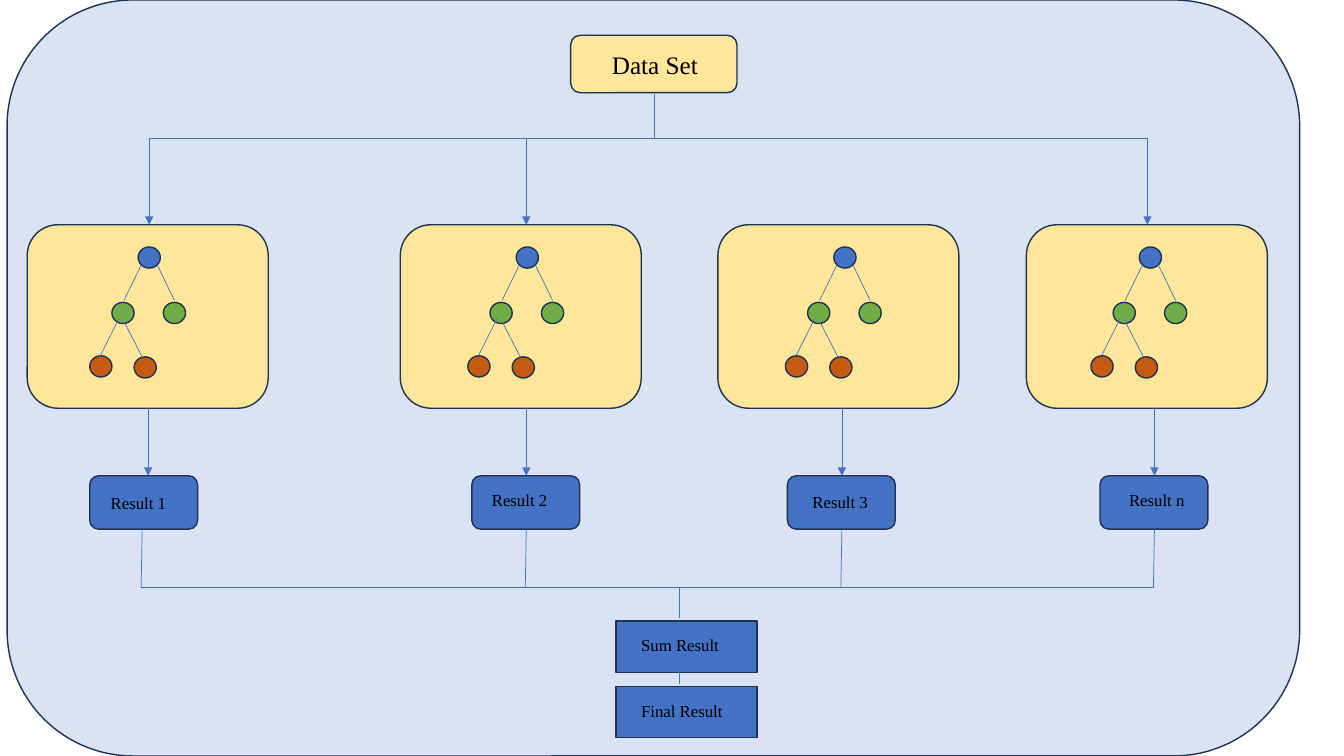
from dataclasses import dataclass

from lxml import etree
from pptx import Presentation
from pptx.dml.color import RGBColor
from pptx.enum.shapes import MSO_CONNECTOR, MSO_SHAPE
from pptx.oxml.ns import qn
from pptx.util import Inches, Pt


@dataclass(frozen=True)
class Theme:
    font: str = "Times New Roman"
    title_size: float = 18
    label_size: float = 12
    text: str = "000000"
    backdrop: str = "DAE3F3"
    panel: str = "FFE699"
    blue: str = "4472C4"
    green: str = "70AD47"
    orange: str = "C55A11"
    outline: str = "1E3256"
    outline_width: float = 1
    line_width: float = 0.5


@dataclass(frozen=True)
class Branch:
    name: str
    panel_x: float
    root_x: float
    out_x: float
    leg_x: float
    result_x: float
    label_x: float
    label_y: float


THEME = Theme()

BRANCHES = [
    Branch("Result 1", 0.27, 1.37, 1.47, 1.41, 0.89, 1.0, 4.84),
    Branch("Result 2", 3.97, 5.12, 5.22, 5.22, 4.68, 4.78, 4.81),
    Branch("Result 3", 7.12, 8.27, 8.35, 8.35, 7.81, 7.96, 4.83),
    Branch("Result n", 10.18, 11.3, 11.45, 11.45, 10.91, 11.1, 4.81),
]
INPUT_XS = [1.48, 5.22, 11.38]

TREE_NODES = [
    (0, 2.45, THEME.blue),
    (-0.26, 3.0, THEME.green),
    (0.25, 3.0, THEME.green),
    (-0.48, 3.53, THEME.orange),
    (-0.04, 3.54, THEME.orange),
]
TREE_EDGES = [
    (0.03, 2.63, -0.14, 2.98),
    (0.19, 2.63, 0.36, 2.98),
    (-0.14, 3.19, 0.04, 3.54),
    (-0.19, 3.16, -0.37, 3.52),
]

SPLIT_Y, PANEL_Y, PANEL_BOTTOM = 1.37, 2.23, 4.05
RESULT_Y, RESULT_BOTTOM, MERGE_Y = 4.72, 5.25, 5.83
SUM_X = 6.74


def add_box(s, kind, x, y, w, h, fill):
    sp = s.shapes.add_shape(kind, Inches(x), Inches(y), Inches(w), Inches(h))
    sp.shadow.inherit = False
    sp.fill.solid()
    sp.fill.fore_color.rgb = RGBColor.from_string(fill)
    sp.line.color.rgb = RGBColor.from_string(THEME.outline)
    sp.line.width = Pt(THEME.outline_width)


def add_line(s, x1, y1, x2, y2, arrow=False):
    sp = s.shapes.add_connector(
        MSO_CONNECTOR.STRAIGHT, Inches(x1), Inches(y1), Inches(x2), Inches(y2))
    sp.line.color.rgb = RGBColor.from_string(THEME.blue)
    sp.line.width = Pt(THEME.line_width)
    if arrow:
        ln = sp.line._get_or_add_ln()
        etree.SubElement(ln, qn("a:tailEnd"), type="triangle")
    etree.SubElement(sp._element.spPr, qn("a:effectLst"))


def add_text(s, text, x, y, w, h=0.3, size=THEME.label_size):
    tf = s.shapes.add_textbox(Inches(x), Inches(y), Inches(w), Inches(h)).text_frame
    tf.word_wrap = True
    r = tf.paragraphs[0].add_run()
    r.text = text
    r.font.name = THEME.font
    r.font.size = Pt(size)
    r.font.color.rgb = RGBColor.from_string(THEME.text)


def add_tree(s, root_x):
    for dx, y, fill in TREE_NODES:
        add_box(s, MSO_SHAPE.FLOWCHART_CONNECTOR, root_x + dx, y, 0.22, 0.21, fill)
    for dx1, y1, dx2, y2 in TREE_EDGES:
        add_line(s, root_x + dx1, y1, root_x + dx2, y2)


def add_branch(s, b):
    rounded = MSO_SHAPE.ROUNDED_RECTANGLE
    add_box(s, rounded, b.panel_x, PANEL_Y, 2.39, PANEL_BOTTOM - PANEL_Y, THEME.panel)
    add_tree(s, b.root_x)
    add_line(s, b.out_x, PANEL_BOTTOM, b.out_x, RESULT_Y, arrow=True)
    add_box(s, rounded, b.result_x, RESULT_Y, 1.07, RESULT_BOTTOM - RESULT_Y, THEME.blue)
    add_text(s, b.name, b.label_x, b.label_y, 0.84)
    add_line(s, b.leg_x, RESULT_BOTTOM, b.leg_x - 0.01, MERGE_Y)


def add_data_set(s):
    add_box(s, MSO_SHAPE.ROUNDED_RECTANGLE, 5.66, 0.35, 1.65, 0.57, THEME.panel)
    add_text(s, "Data Set", 5.97, 0.44, 1.21, h=0.4, size=THEME.title_size)
    add_line(s, 6.49, 0.93, 6.49, SPLIT_Y)
    add_line(s, INPUT_XS[0], SPLIT_Y, INPUT_XS[-1], SPLIT_Y)
    for x in INPUT_XS:
        add_line(s, x, SPLIT_Y, x, PANEL_Y, arrow=True)


def add_summary(s):
    add_line(s, BRANCHES[0].leg_x - 0.01, MERGE_Y, BRANCHES[-1].leg_x, MERGE_Y)
    add_line(s, SUM_X, MERGE_Y, SUM_X, 6.13)
    for text, y in [("Sum Result", 6.16), ("Final Result", 6.81)]:
        add_box(s, MSO_SHAPE.RECTANGLE, 6.11, y, 1.4, 0.51, THEME.blue)
        add_text(s, text, 6.26, y + 0.09, 1.09)
    add_line(s, SUM_X, 6.67, SUM_X, 6.79)


def main():
    prs = Presentation()
    prs.slide_width, prs.slide_height = Inches(13.33), Inches(7.5)
    s = prs.slides.add_slide(prs.slide_layouts[6])
    add_box(s, MSO_SHAPE.ROUNDED_RECTANGLE, 0.07, 0, 12.82, 7.5, THEME.backdrop)
    add_data_set(s)
    for branch in BRANCHES:
        add_branch(s, branch)
    add_summary(s)
    prs.save("out.pptx")


if __name__ == "__main__":
    main()
